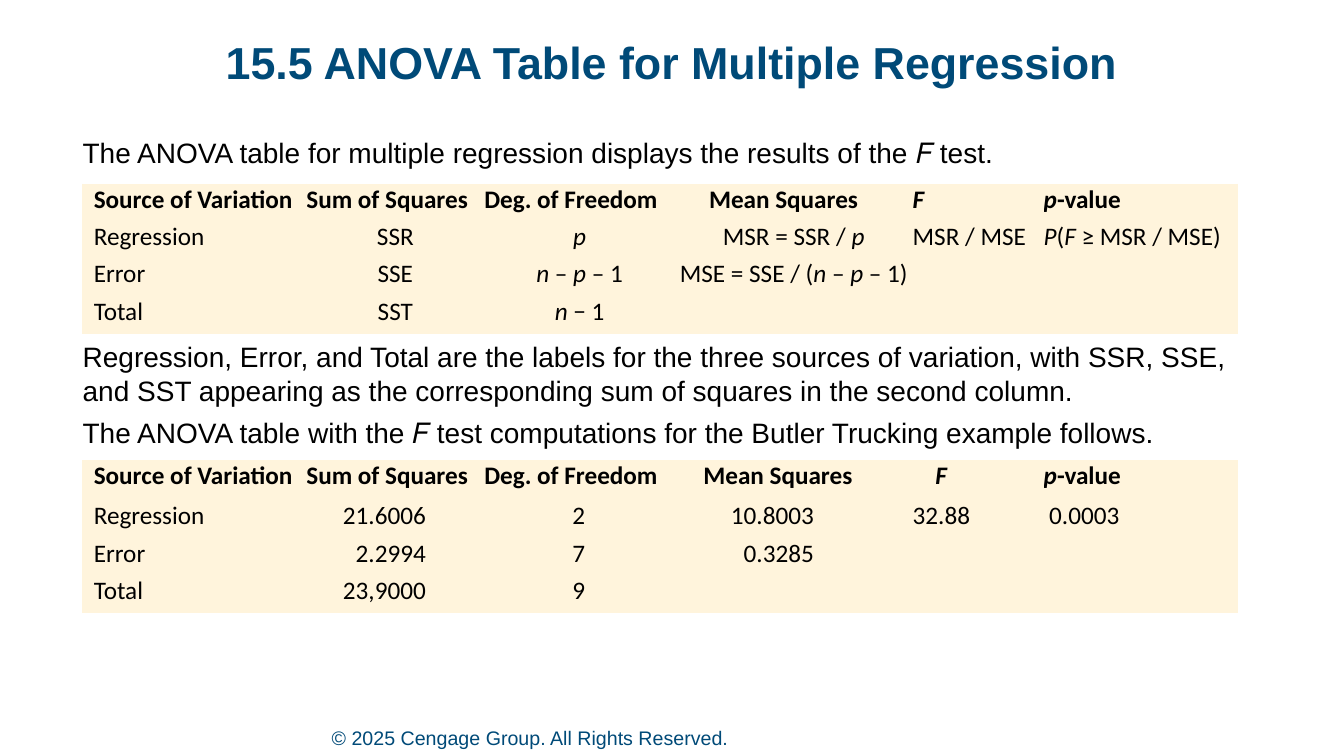
import lxml.etree
import pptx
import pptx.dml.color
import pptx.enum.text
import pptx.oxml.ns
import pptx.util

UNIT = pptx.util.Inches(1 / 12)
SLIDE_COLUMNS, SLIDE_ROWS = 160, 90
NAVY, BLACK, CREAM = "004A78", "000000", "FFF4DC"
LEFT = pptx.enum.text.PP_ALIGN.LEFT
CENTER = pptx.enum.text.PP_ALIGN.CENTER
RIGHT = pptx.enum.text.PP_ALIGN.RIGHT

HEADINGS = ["Source of Variation", "Sum of Squares", "Deg. of Freedom",
            "Mean Squares", "*F*", "*p*-value"]
COLUMN_WIDTHS = [26.64, 21.18, 22.68, 28.32, 15.6, 23.04]
ROW_HEIGHT = 4.44
FORMULAS = [
    ["Regression", "SSR", "*p*", "MSR = SSR / *p*", "MSR / MSE", "*P*(*F *≥ MSR / MSE)"],
    ["Error", "SSE", "*n* – *p* – 1", "MSE = SSE / (*n* – *p* – 1)", "", ""],
    ["Total", "SST", "*n* − 1", "", "", ""],
]
FORMULA_LAYOUT = [(LEFT, 1.33), (CENTER, 0), (CENTER, 0), (CENTER, 0), (LEFT, 0), (LEFT, 0)]
RESULTS = [
    ["Regression", "21.6006", "2", "10.8003", "32.88", "0.0003"],
    ["Error", "2.2994", "7", "0.3285", "", ""],
    ["Total", "23,9000", "9", "", "", ""],
]
RESULT_LAYOUT = [(LEFT, 1.33), (RIGHT, 6.96), (RIGHT, 10.68), (RIGHT, 11.76),
                 (LEFT, 0), (LEFT, 0.66)]


def units(count):
    """Convert grid units to a length."""
    return round(count * UNIT)


def color(code):
    """Turn a hex string into a colour."""
    return pptx.dml.color.RGBColor.from_string(code)


def style(font, name, size, code, bold=False):
    """Set the face, size, colour and weight of a font."""
    font.name, font.size, font.bold = name, pptx.util.Pt(size), bold
    font.color.rgb = color(code)


def add_text(page, box, lines, size, code, bold=False):
    """Place Arial paragraphs in a box without insets and return its frame."""
    frame = page.shapes.add_textbox(*map(units, box)).text_frame
    frame.word_wrap = True
    frame.margin_left = frame.margin_top = frame.margin_right = frame.margin_bottom = 0
    frame.text = "\n".join(lines)
    for index, para in enumerate(frame.paragraphs):
        if index:
            para.space_before = pptx.util.Pt(6)
        for span in para.runs:
            style(span.font, "Arial", size, code, bold)
    return frame


def add_title(page, box, text):
    """Place the centred slide title."""
    para = add_text(page, box, [text], 32, NAVY, True).paragraphs[0]
    para.alignment = CENTER
    para.line_spacing = 0.9


def add_footer(page, box, text):
    """Place the copyright line at the bottom of its box."""
    frame = add_text(page, box, [text], 14, NAVY)
    frame.vertical_anchor = pptx.enum.text.MSO_ANCHOR.BOTTOM
    frame.margin_bottom = units(0.6)


def paint_cell(cell):
    """Give a cell a cream fill and matching borders."""
    properties = cell._tc.get_or_add_tcPr()
    qualified = pptx.oxml.ns.qn
    for side in ("a:lnL", "a:lnR", "a:lnT", "a:lnB"):
        line = lxml.etree.SubElement(properties, qualified(side), w=str(pptx.util.Pt(1)))
        solid = lxml.etree.SubElement(line, qualified("a:solidFill"))
        lxml.etree.SubElement(solid, qualified("a:srgbClr"), val=CREAM)
    cell.fill.solid()
    cell.fill.fore_color.rgb = color(CREAM)


def fill_cell(cell, text, alignment, inset, bold):
    """Write a cell whose starred parts are italic."""
    paint_cell(cell)
    cell.margin_top = cell.margin_bottom = 0
    cell.margin_left = units(0 if alignment == RIGHT else inset)
    cell.margin_right = units(inset if alignment == RIGHT else 0)
    para = cell.text_frame.paragraphs[0]
    para.alignment = alignment
    for index, part in enumerate(text.split("*")):
        if part:
            span = para.add_run()
            span.text = part
            style(span.font, "Calibri", 18, BLACK, bold)
            span.font.italic = index % 2 == 1


def add_anova_table(page, corner, body, layout, heading_insets, heading_height):
    """Place an ANOVA table with its top left at the given corner."""
    heights = [heading_height] + [ROW_HEIGHT] * len(body)
    size = (sum(COLUMN_WIDTHS), sum(heights))
    table = page.shapes.add_table(len(heights), len(COLUMN_WIDTHS),
                                  *map(units, corner + size)).table
    table.first_row = table.horz_banding = False
    for column, width in zip(table.columns, COLUMN_WIDTHS):
        column.width = units(width)
    heading_layout = [(LEFT, inset) for inset in heading_insets]
    for index, (texts, height) in enumerate(zip([HEADINGS] + body, heights)):
        table.rows[index].height = units(height)
        places = layout if index else heading_layout
        for column, (text, (alignment, inset)) in enumerate(zip(texts, places)):
            fill_cell(table.cell(index, column), text, alignment, inset, index == 0)


def build_anova_slide(deck):
    """Build the slide of two ANOVA tables with their explanations."""
    page = deck.slides.add_slide(deck.slide_layouts[6])
    left, width = 9.84, 138
    add_footer(page, (39.48, 86.28, 117.48, 3.48),
               "© 2025 Cengage Group. All Rights Reserved.")
    add_title(page, (8.76, 4.8, 142.44, 8.88), "15.5 ANOVA Table for Multiple Regression")
    add_text(page, (left, 16.08, width, 5.04), [
        "The ANOVA table for multiple regression displays the results of the 𝐹 test.",
    ], 20, BLACK)
    add_anova_table(page, (left, 21.96), FORMULAS, FORMULA_LAYOUT,
                    [1.33, 0, 0, 4.08, 0, 0], ROW_HEIGHT)
    add_text(page, (left, 40.44, width, 13.56), [
        "Regression, Error, and Total are the labels for the three sources of variation, "
        "with SSR, SSE, and SST appearing as the corresponding sum of squares in the "
        "second column.",
        "The ANOVA table with the 𝐹 test computations for the Butler Trucking example follows.",
    ], 20, BLACK)
    add_anova_table(page, (left, 54.84), RESULTS, RESULT_LAYOUT,
                    [1.33, 0, 0, 3.4, 2.72, 0], 4.8)


def main():
    """Create and save the deck."""
    deck = pptx.Presentation()
    deck.slide_width = units(SLIDE_COLUMNS)
    deck.slide_height = units(SLIDE_ROWS)
    build_anova_slide(deck)
    deck.save("out.pptx")


if __name__ == "__main__":
    main()
